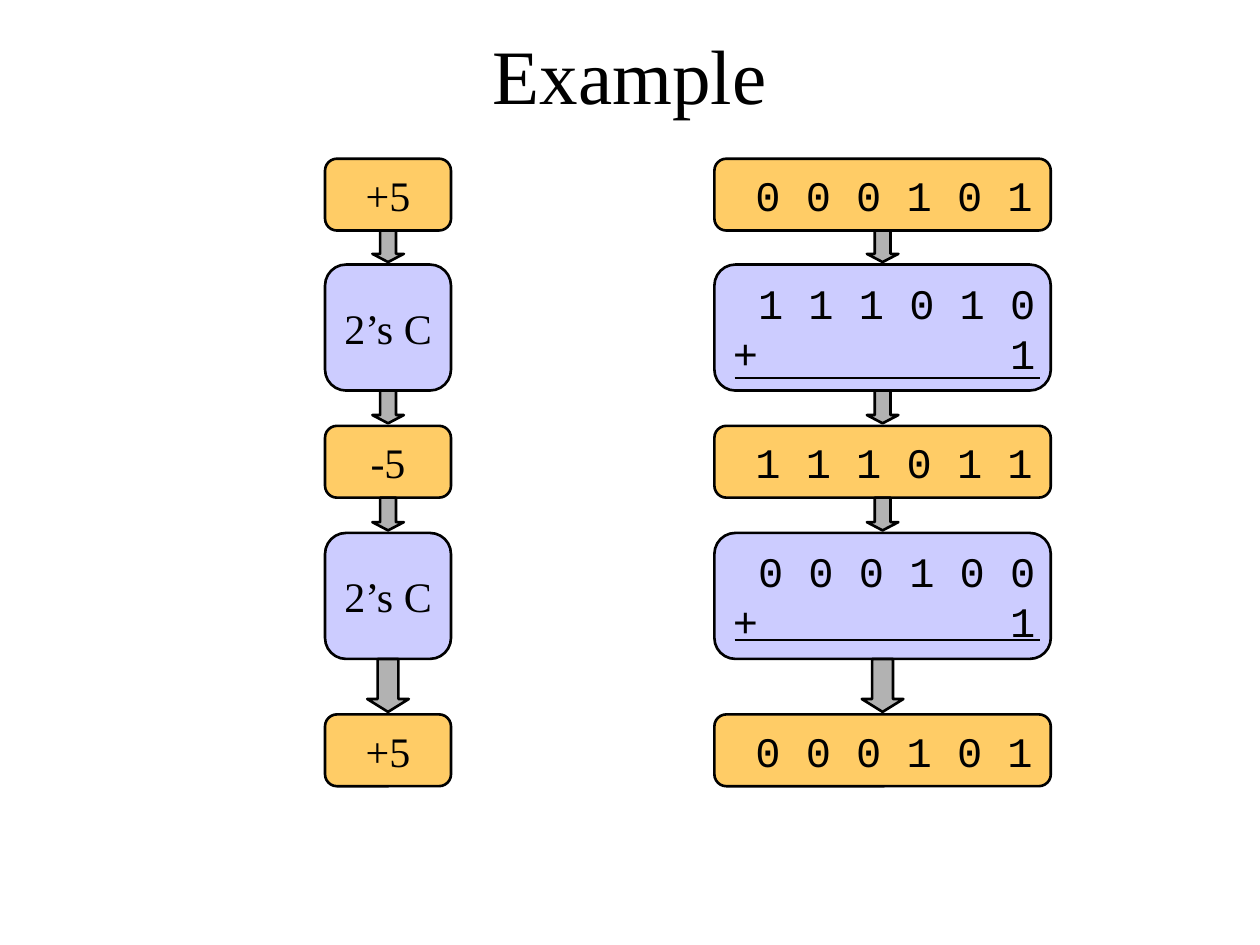
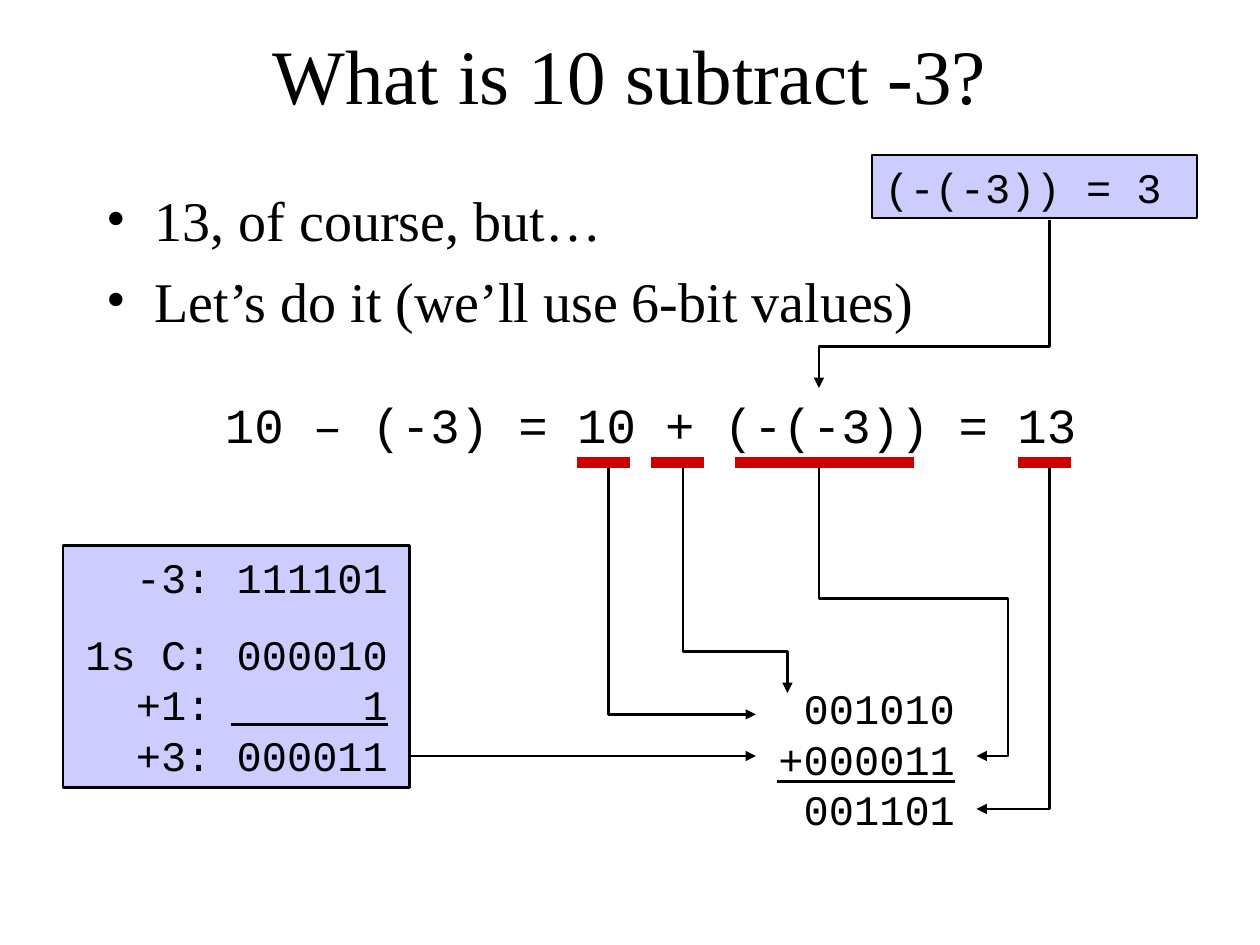
import dataclasses

import pptx
import pptx.dml.color
import pptx.enum.shapes
import pptx.enum.text
import pptx.oxml.ns
import pptx.util
from lxml import etree

Inches = pptx.util.Inches
Pt = pptx.util.Pt
SHAPES = pptx.enum.shapes.MSO_SHAPE
ALIGN = pptx.enum.text.PP_ALIGN
ANCHOR = pptx.enum.text.MSO_ANCHOR


@dataclasses.dataclass(frozen=True)
class Theme:
    ink: str = "000000"
    value: str = "FFCC66"
    step: str = "CCCCFF"
    arrow: str = "B2B2B2"
    mark: str = "CC0000"
    serif: str = "Times New Roman"
    mono: str = "Courier New"
    title: int = 44
    body: int = 32
    equation: int = 28
    label: int = 24
    outline: float = 1.5
    underline: int = 6


THEME = Theme()
STAGE_HEIGHTS = (0.57, 1, 0.57, 1, 0.57)
STAGE_GAPS = (0.27, 0.28, 0.28, 0.44)


def rgb(value):
    return pptx.dml.color.RGBColor.from_string(value)


def sub(parent, tag, **attributes):
    return etree.SubElement(parent, pptx.oxml.ns.qn(tag), attributes)


def write(sp, lines, size, font, align=ALIGN.LEFT, anchor=ANCHOR.TOP,
          tabs=(), bullet=None, gaps=None):
    tf = sp.text_frame
    tf.word_wrap = True
    tf.vertical_anchor = anchor
    tf.text = "\n".join(lines)
    for i, p in enumerate(tf.paragraphs):
        pPr = p._p.get_or_add_pPr()
        if bullet:
            pPr.set("marL", str(Inches(0.38)))
            pPr.set("indent", str(-Inches(0.38)))
            sub(sub(pPr, "a:buClr"), "a:srgbClr", val=THEME.ink)
            sub(pPr, "a:buFont", typeface=font)
            sub(pPr, "a:buChar", char=bullet)
        if tabs:
            tab_list = sub(pPr, "a:tabLst")
            for tab in tabs:
                sub(tab_list, "a:tab", pos=str(Inches(tab)), algn="r")
        p.alignment = align
        if gaps and gaps[i]:
            p.space_before = Pt(gaps[i])
        for r in p.runs:
            r.font.size = Pt(size)
            r.font.name = font
            r.font.color.rgb = rgb(THEME.ink)


def add_text(s, box, lines, size, font, **style):
    sp = s.shapes.add_textbox(*map(Inches, box))
    write(sp, lines, size, font, **style)


def add_box(s, kind, box, fill):
    sp = s.shapes.add_shape(kind, *map(Inches, box))
    sp.shadow.inherit = False
    sp.fill.solid()
    sp.fill.fore_color.rgb = rgb(fill)
    set_line(sp)
    return sp


def set_line(sp, color=THEME.ink, width=THEME.outline, head=False):
    sp.line.color.rgb = rgb(color)
    sp.line.width = Pt(width)
    if head:
        sub(sp.line._get_or_add_ln(), "a:tailEnd", type="triangle")


def add_rule(s, x1, x2, y, **style):
    line = s.shapes.add_connector(
        pptx.enum.shapes.MSO_CONNECTOR.STRAIGHT,
        Inches(x1), Inches(y), Inches(x2), Inches(y))
    set_line(line, **style)
    sub(line._element.spPr, "a:effectLst")


def add_route(s, points):
    start, *rest = [(Inches(x), Inches(y)) for x, y in points]
    builder = s.shapes.build_freeform(*start)
    builder.add_line_segments(rest, close=False)
    sp = builder.convert_to_shape()
    sp.shadow.inherit = False
    sp.fill.background()
    set_line(sp, head=True)


def add_slide(prs, title):
    s = prs.slides.add_slide(prs.slide_layouts[6])
    add_text(s, (0.75, 0.17, 8.5, 0.83), [title], THEME.title, THEME.serif,
             align=ALIGN.CENTER, anchor=ANCHOR.MIDDLE)
    return s


def add_stages(s, left, top, width, stages, **style):
    y = top
    for i, (lines, height) in enumerate(zip(stages, STAGE_HEIGHTS)):
        fill = THEME.step if i % 2 else THEME.value
        sp = add_box(s, SHAPES.ROUNDED_RECTANGLE, (left, y, width, height), fill)
        write(sp, lines, THEME.label, anchor=ANCHOR.MIDDLE, **style)
        if style.get("tabs"):
            sp.text_frame.margin_right = 0
        else:
            sp.text_frame.word_wrap = False
        y += height
        if i < len(STAGE_GAPS):
            gap = STAGE_GAPS[i]
            last = i == len(STAGE_GAPS) - 1
            arrow_width = 0.33 if last else 0.25
            arrow = add_box(
                s, SHAPES.DOWN_ARROW,
                (left + (width - arrow_width) / 2, y, arrow_width, gap - 0.02),
                THEME.arrow)
            arrow.adjustments[1] = 0.31 if last else 0.26
            y += gap


def example_slide(prs):
    s = add_slide(prs, "Example")
    top = 1.26
    add_stages(s, 2.58, top, 1, [["+5"], ["2’s C"], ["-5"], ["2’s C"], ["+5"]],
               font=THEME.serif, align=ALIGN.CENTER)
    left = 5.67
    add_stages(s, left, top, 2.67, [
        ["\t0 0 0 1 0 1"],
        ["\t1 1 1 0 1 0", "+\t1"],
        ["\t1 1 1 0 1 1"],
        ["\t0 0 0 1 0 0", "+\t1"],
        ["\t0 0 0 1 0 1"],
    ], font=THEME.mono, tabs=(2.4,))
    for offset in (1.74, 3.82):
        add_rule(s, left + 0.16, left + 2.58, top + offset)


def add_negation(s, left, top):
    add_box(s, SHAPES.RECTANGLE, (left, top, 2.75, 1.92), THEME.step)
    add_text(s, (left + 0.08, top, 3, 1.91),
             ["\t-3:\t111101", "\t1s C:\t000010", "\t+1:\t1", "\t+3:\t000011"],
             THEME.label, THEME.mono, tabs=(1, 2.4), gaps=(0, 15, 0, 0))
    add_rule(s, left + 1.33, left + 2.58, top + 1.42)


def add_sum(s, left, top):
    add_text(s, (left, top, 1.75, 1.3), ["\t001010", "+000011", "\t001101"],
             THEME.label, THEME.mono, tabs=(1.4,))
    add_rule(s, left + 0.09, left + 1.5, top + 0.83)


def add_equation(s, left, top):
    add_text(s, (left, top, 7.67, 0.57), ["10 – (-3) = 10 + (-(-3)) = 13"],
             THEME.equation, THEME.mono, align=ALIGN.CENTER)
    for start, length in ((3.25, 0.42), (3.84, 0.42), (4.5, 1.42), (6.75, 0.42)):
        add_rule(s, left + start, left + start + length, top + 0.59,
                 color=THEME.mark, width=THEME.underline)


def add_routes(s, top):
    add_rule(s, 3.25, 6, 6, head=True)
    for points in (
        [(4.83, top), (4.83, 5.67), (6, 5.67)],
        [(5.42, top), (5.42, 5.17), (6.25, 5.17), (6.25, 5.5)],
        [(6.5, top), (6.5, 4.75), (8, 4.75), (8, 6), (7.75, 6)],
        [(8.33, top), (8.33, 6.42), (7.75, 6.42)],
        [(8.33, 1.75), (8.33, 2.75), (6.5, 2.75), (6.5, 3.08)],
    ):
        add_route(s, points)


def subtract_slide(prs):
    s = add_slide(prs, "What is 10 subtract -3?")
    add_text(s, (0.75, 1.42, 8.5, 4.5),
             ["13, of course, but…", "Let’s do it (we’ll use 6-bit values)"],
             THEME.body, THEME.serif, bullet="•", gaps=(0, 8))
    add_negation(s, 0.5, 4.33)
    add_sum(s, 6.08, 5.37)
    add_routes(s, 3.67)
    add_equation(s, 1.33, 3.08)
    result = add_box(s, SHAPES.RECTANGLE, (6.92, 1.23, 2.58, 0.5), THEME.step)
    write(result, ["(-(-3)) = 3"], THEME.label, THEME.mono)


def main():
    prs = pptx.Presentation()
    prs.slide_width = Inches(10)
    prs.slide_height = Inches(7.5)
    example_slide(prs)
    subtract_slide(prs)
    prs.save("out.pptx")


if __name__ == "__main__":
    main()
